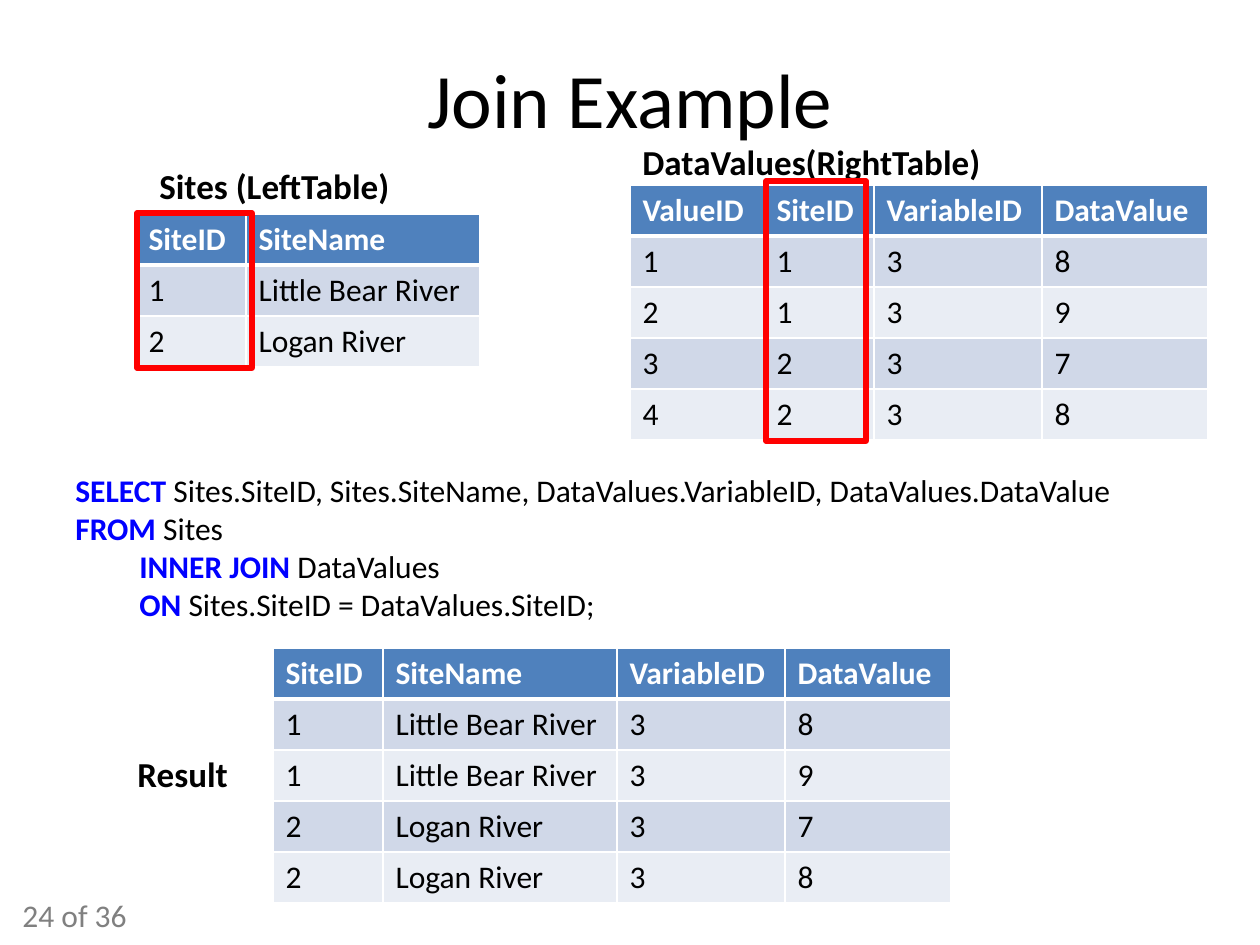
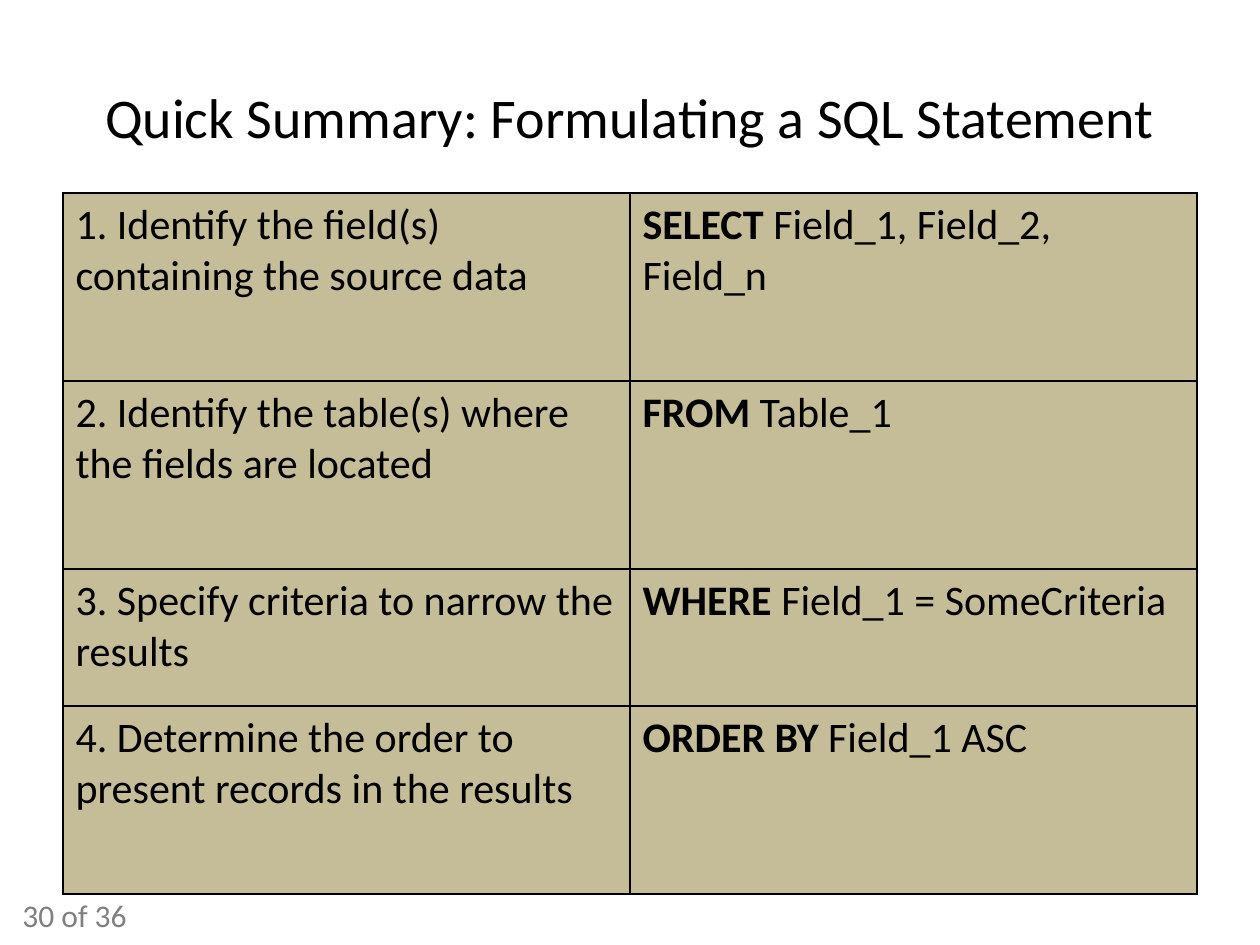
"""Build two SQL slides: a join example and a statement summary."""
import pptx
import pptx.dml.color
import pptx.enum.shapes
import pptx.enum.text
import pptx.oxml.ns
import pptx.util
from lxml import etree

SCALE = 914400 / 126
FONT = "Calibri"
COLORS = {
    "text": "000000",
    "footer": "808080",
    "keyword": "0000FF",
    "highlight": "FF0000",
    "header": "4F81BD",
    "header_text": "FFFFFF",
    "band_dark": "D0D8E8",
    "band_light": "E9EDF4",
    "grid": "FFFFFF",
    "summary": "C4BD97",
}
PAGE_COUNT = 36
ROW_HEIGHT = 51
COLUMN_WIDTHS = {"SiteID": 110, "SiteName": 234, "ValueID": 134, "VariableID": 168, "DataValue": 166}
SITES = [("1", "Little Bear River"), ("2", "Logan River")]
DATA_VALUES = [("1", "1", "3", "8"), ("2", "1", "3", "9"), ("3", "2", "3", "7"), ("4", "2", "3", "8")]
QUERY = [
    ("", "SELECT ", "Sites.SiteID, Sites.SiteName, DataValues.VariableID, DataValues.DataValue"),
    ("", "FROM ", "Sites"),
    ("\t", "INNER JOIN ", "DataValues"),
    ("\t", "ON ", "Sites.SiteID = DataValues.SiteID;"),
]
STEPS = [
    (188, "1. Identify the field(s) containing the source data", "SELECT", " Field_1, Field_2, Field_n"),
    (188, "2. Identify the table(s) where the fields are located", "FROM", " Table_1"),
    (137, "3. Specify criteria to narrow the results", "WHERE", " Field_1 = SomeCriteria"),
    (188, "4. Determine the order to present records in the results", "ORDER BY", " Field_1 ASC"),
]


def px(length):
    """Turn a length in px into EMU."""
    return pptx.util.Emu(round(length * SCALE))


def color(name):
    """Return a named colour."""
    return pptx.dml.color.RGBColor.from_string(COLORS[name])


def add_run(paragraph, text, size, color_name="text", bold=False):
    """Add one styled run to a paragraph."""
    run = paragraph.add_run()
    run.text = text
    run.font.name = FONT
    run.font.size = pptx.util.Pt(size)
    run.font.bold = bold
    run.font.color.rgb = color(color_name)


def add_text_frame(slide, box, wrap=True):
    """Add a text box and return its text frame."""
    frame = slide.shapes.add_textbox(*map(px, box)).text_frame
    frame.word_wrap = wrap
    return frame


def add_title(slide, box, text, size):
    """Add a centred slide title."""
    frame = add_text_frame(slide, box)
    frame.vertical_anchor = pptx.enum.text.MSO_ANCHOR.MIDDLE
    frame.paragraphs[0].alignment = pptx.enum.text.PP_ALIGN.CENTER
    add_run(frame.paragraphs[0], text, size)


def add_footer(slide, number):
    """Add the page count at the bottom left."""
    frame = add_text_frame(slide, (10, 890, 145, 50))
    add_run(frame.paragraphs[0], f"{number} of {PAGE_COUNT}", 18, "footer")


def add_label(slide, box, text):
    """Add a bold table label."""
    add_run(add_text_frame(slide, box, wrap=False).paragraphs[0], text, 20, bold=True)


def add_table(slide, left, top, widths, heights):
    """Add an unstyled table with the given column widths and row heights."""
    box = (left, top, sum(widths), sum(heights))
    table = slide.shapes.add_table(len(heights), len(widths), *map(px, box)).table
    table.first_row = table.horz_banding = False
    for column, width in zip(table.columns, widths):
        column.width = px(width)
    for row, height in zip(table.rows, heights):
        row.height = px(height)
    return table


def style_cell(cell, fill_name, border_name, top=1, bottom=1):
    """Set the borders and then the fill of a cell."""
    properties = cell._tc.get_or_add_tcPr()
    for side, width in (("L", 1), ("R", 1), ("T", top), ("B", bottom)):
        line = etree.SubElement(properties, pptx.oxml.ns.qn(f"a:ln{side}"), w=str(pptx.util.Pt(width)))
        fill = etree.SubElement(line, pptx.oxml.ns.qn("a:solidFill"))
        etree.SubElement(fill, pptx.oxml.ns.qn("a:srgbClr"), val=COLORS[border_name])
    cell.fill.solid()
    cell.fill.fore_color.rgb = color(fill_name)


def add_data_table(slide, left, top, headers, records):
    """Add a banded table with a header row."""
    rows = [headers, *records]
    widths = [COLUMN_WIDTHS[header] for header in headers]
    table = add_table(slide, left, top, widths, [ROW_HEIGHT] * len(rows))
    for row_index, values in enumerate(rows):
        is_header = row_index == 0
        band = "band_dark" if row_index % 2 else "band_light"
        for column_index, value in enumerate(values):
            cell = table.cell(row_index, column_index)
            style_cell(cell, "header" if is_header else band, "grid",
                       top=3 if row_index == 1 else 1, bottom=3 if is_header else 1)
            add_run(cell.text_frame.paragraphs[0], value, 18,
                    "header_text" if is_header else "text", is_header)


def add_query(slide, box):
    """Add the SQL query with coloured keywords."""
    frame = add_text_frame(slide, box)
    for index, (indent, keyword, rest) in enumerate(QUERY):
        paragraph = frame.add_paragraph() if index else frame.paragraphs[0]
        if indent:
            tabs = etree.SubElement(paragraph._p.get_or_add_pPr(), pptx.oxml.ns.qn("a:tabLst"))
            etree.SubElement(tabs, pptx.oxml.ns.qn("a:tab"), pos=str(px(64)), algn="l")
            add_run(paragraph, indent, 18)
        add_run(paragraph, keyword, 18, "keyword", True)
        add_run(paragraph, rest, 18)


def add_highlight(slide, box):
    """Outline a key column."""
    shape = slide.shapes.add_shape(pptx.enum.shapes.MSO_SHAPE.RECTANGLE, *map(px, box))
    shape.shadow.inherit = False
    shape.fill.background()
    shape.line.color.rgb = color("highlight")
    shape.line.width = pptx.util.Pt(3)


def build_join_slide(slide):
    """Show two tables, the query joining them and its result."""
    add_footer(slide, 24)
    add_title(slide, (63, 0, 1134, 195), "Join Example", 44)
    site_names = dict(SITES)
    joined = [(site, site_names[site], variable, value) for _, site, variable, value in DATA_VALUES]
    add_data_table(slide, 136, 214, ("SiteID", "SiteName"), SITES)
    add_data_table(slide, 630, 185, ("ValueID", "SiteID", "VariableID", "DataValue"), DATA_VALUES)
    add_data_table(slide, 273, 648, ("SiteID", "SiteName", "VariableID", "DataValue"), joined)
    add_query(slide, (63, 465, 1144, 165))
    add_label(slide, (147, 158, 258, 55), "Sites (LeftTable)")
    add_label(slide, (630, 134, 372, 55), "DataValues(RightTable)")
    add_label(slide, (125, 746, 117, 55), "Result")
    add_highlight(slide, (137, 213, 115, 155))
    add_highlight(slide, (766, 181, 100, 260))


def build_summary_slide(slide):
    """Pair each step with its SQL clause."""
    add_footer(slide, 30)
    add_title(slide, (63, 38, 1134, 157), "Quick Summary: Formulating a SQL Statement", 32)
    table = add_table(slide, 63, 193, [567, 567], [step[0] for step in STEPS])
    for row_index, (_, description, keyword, rest) in enumerate(STEPS):
        step_cell, clause_cell = table.rows[row_index].cells
        for cell in (step_cell, clause_cell):
            style_cell(cell, "summary", "text")
        add_run(step_cell.text_frame.paragraphs[0], description, 24)
        clause = clause_cell.text_frame.paragraphs[0]
        add_run(clause, keyword, 24, bold=True)
        add_run(clause, rest, 24)


def main():
    """Build and save the presentation."""
    presentation = pptx.Presentation()
    presentation.slide_width = px(1260)
    presentation.slide_height = px(945)
    for build in (build_join_slide, build_summary_slide):
        build(presentation.slides.add_slide(presentation.slide_layouts[6]))
    presentation.save("out.pptx")


if __name__ == "__main__":
    main()
